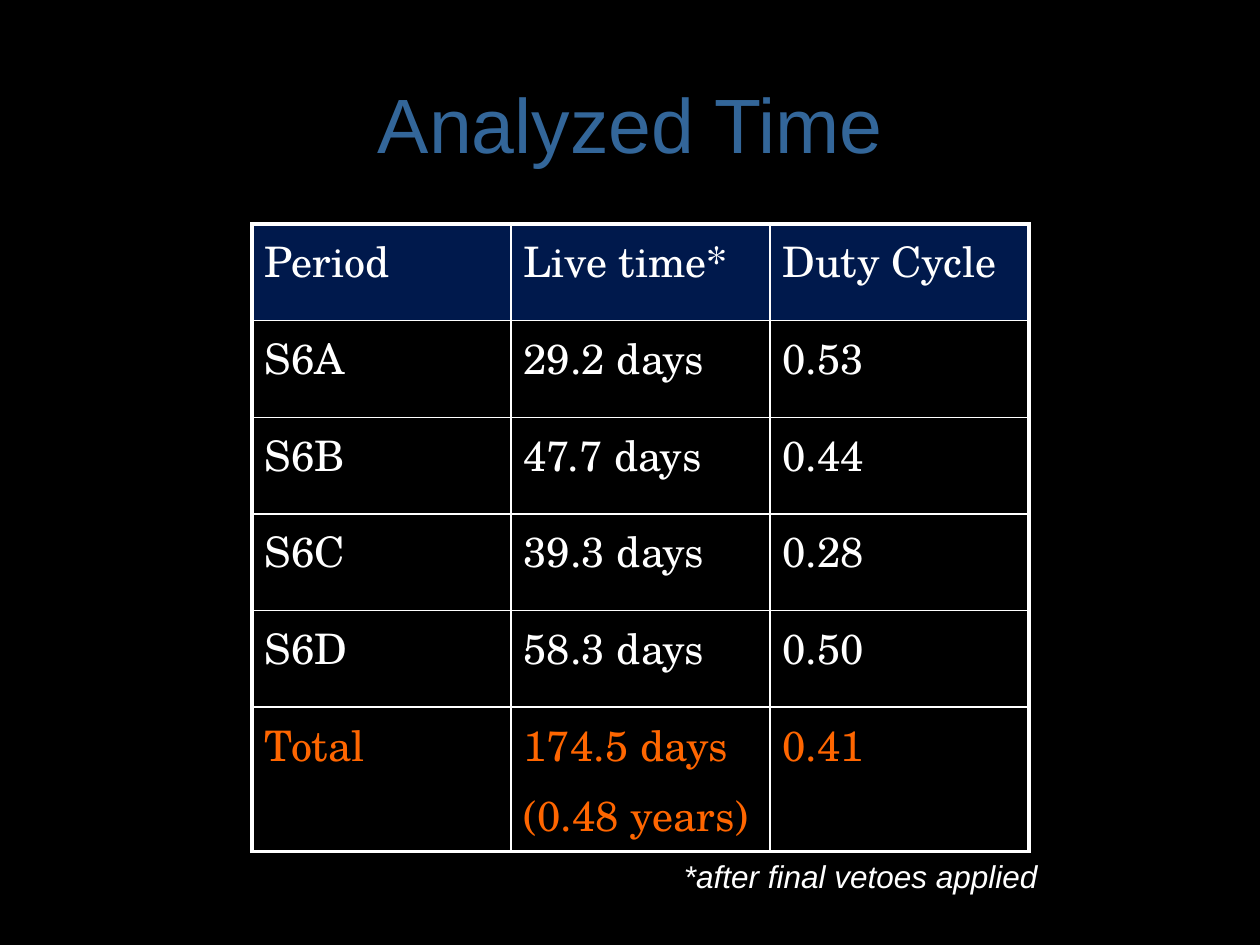
from lxml.etree import SubElement
from pptx import Presentation
from pptx.dml.color import RGBColor as Rgb
from pptx.enum.text import MSO_ANCHOR as Anchor, PP_ALIGN as Align
from pptx.oxml.ns import qn
from pptx.util import Pt

PX = 914400 / 126
HUES = {"back": "000000", "title": "336699", "head": "003399",
        "text": "FFFFFF", "total": "FF6600"}
ROWS = [
    ["Period", "Live time*", "Duty Cycle"],
    ["S6A", "29.2 days", "0.53"],
    ["S6B", "47.7 days", "0.44"],
    ["S6C", "39.3 days", "0.28"],
    ["S6D", "58.3 days", "0.50"],
    ["Total", "174.5 days\n(0.48 years)", "0.41"],
]


def px(n):
    return round(n * PX)


def hue(name):
    return Rgb.from_string(HUES[name])


def style(frame, size, face, tint, align, italic=False):
    for para in frame.paragraphs:
        para.alignment = align
        for run in para.runs:
            font = run.font
            font.size = Pt(size)
            font.name = face
            font.italic = italic
            font.color.rgb = hue(tint)


def edge(cell, sides):
    props = cell._tc.get_or_add_tcPr()
    for spot, (side, width) in enumerate(sides.items()):
        line = SubElement(props, qn(f"a:ln{side}"), w=str(Pt(width)))
        fill = SubElement(line, qn("a:solidFill"))
        SubElement(fill, qn("a:srgbClr"), val=HUES["text"])
        props.insert(spot, line)


def add_title(slide, box):
    title = slide.shapes.title
    title.left, title.top, title.width, title.height = map(px, box)
    frame = title.text_frame
    frame.text = "Analyzed Time"
    frame.vertical_anchor = Anchor.MIDDLE
    style(frame, 44, "Arial", "title", Align.CENTER)


def add_times(slide, box):
    last, end = len(ROWS) - 1, len(ROWS[0]) - 1
    grid = slide.shapes.add_table(last + 1, end + 1, *map(px, box)).table
    grid.horz_banding = False
    for r, row in enumerate(ROWS):
        for c, text in enumerate(row):
            cell = grid.cell(r, c)
            frame = cell.text_frame
            frame.text = text
            style(frame, 24, "TeX Gyre Schola",
                  "total" if r == last else "text", Align.LEFT)
            for para in frame.paragraphs[1:]:
                para.space_before = Pt(4.8)
            if r == 0:
                cell.fill.solid()
                cell.fill.fore_color.rgb = hue("head")
                tint = cell._tc.tcPr.find(".//" + qn("a:srgbClr"))
                SubElement(tint, qn("a:alpha"), val="50000")
            else:
                cell.fill.background()
            outer = {"L": c == 0, "R": c == end, "T": r == 0, "B": r == last}
            edge(cell, {side: 2.25 if out else 1
                        for side, out in outer.items()})


def add_note(slide, box):
    frame = slide.shapes.add_textbox(*map(px, box)).text_frame
    frame.word_wrap = True
    frame.text = "*after final vetoes applied"
    style(frame, 18, "Arial", "text", Align.RIGHT, italic=True)


def main():
    deck = Presentation()
    deck.slide_width, deck.slide_height = px(1260), px(945)
    slide = deck.slides.add_slide(deck.slide_layouts[5])
    slide.background.fill.solid()
    slide.background.fill.fore_color.rgb = hue("back")
    add_title(slide, (95, 44, 1071, 158))
    add_times(slide, (252, 224, 777, 580))
    add_note(slide, (158, 851, 892, 50))
    deck.save("out.pptx")


if __name__ == "__main__":
    main()
